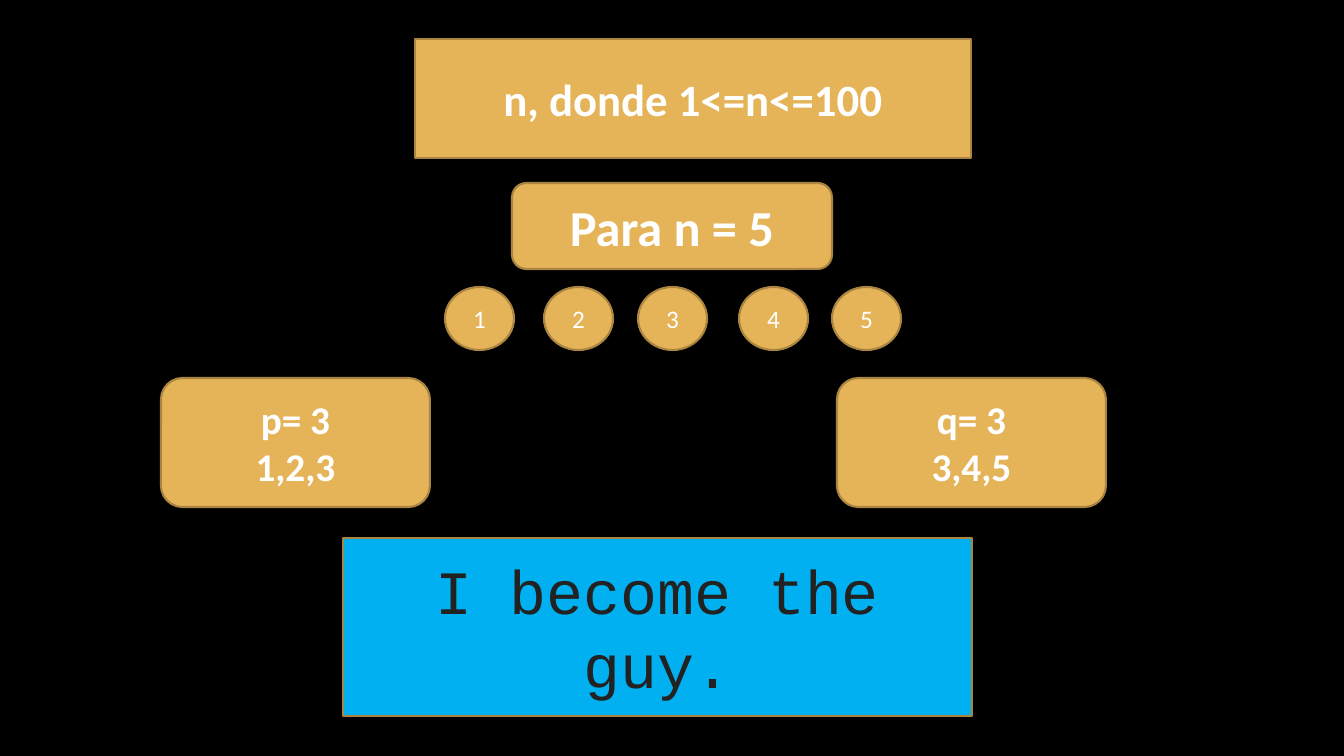
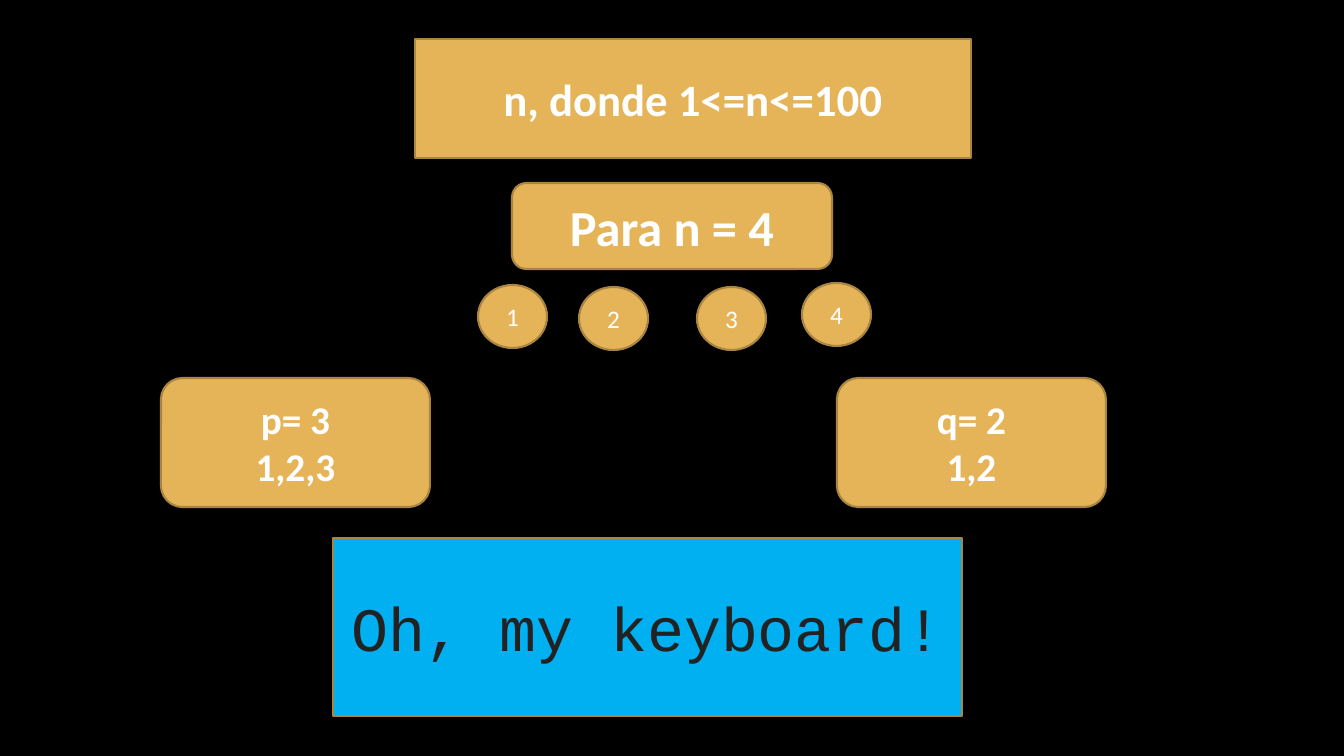
from lxml.etree import SubElement
from pptx import Presentation
from pptx.dml.color import RGBColor
from pptx.enum.shapes import MSO_SHAPE
from pptx.enum.text import MSO_ANCHOR, MSO_AUTO_SIZE, PP_ALIGN
from pptx.oxml.ns import qn
from pptx.util import Pt

BLACK = RGBColor(0x00, 0x00, 0x00)
GOLD = RGBColor(0xE5, 0xB4, 0x58)
BRONZE = RGBColor(0xA9, 0x85, 0x41)
SKY = RGBColor(0x00, 0xB0, 0xF0)
WHITE = RGBColor(0xFF, 0xFF, 0xFF)
INK = RGBColor(0x22, 0x22, 0x22)

TITLE = "n, donde 1<=n<=100"
# levels: (left, top) of each numbered circle
CASES = [
    {
        "n": 5,
        "levels": [(445, 287), (544, 287), (638, 287), (739, 287), (832, 287)],
        "players": [("p= 3", "1,2,3"), ("q= 3", "3,4,5")],
        "verdict": "I become the guy.",
        "verdict_left": 343,
    },
    {
        "n": 4,
        "levels": [(478, 285), (579, 287), (697, 287), (802, 283)],
        "players": [("p= 3", "1,2,3"), ("q= 2", "1,2")],
        "verdict": "Oh, my keyboard!",
        "verdict_left": 333,
    },
]

SLIDE_W, SLIDE_H = 1344, 756
TITLE_BOX = (415, 39, 556, 119)
CASE_BOX = (512, 183, 320, 86)
LEVEL_SIZE = (69, 63)
PLAYER_LEFTS = (161, 837)
PLAYER_TOP, PLAYER_SIZE = 378, (269, 129)
VERDICT_TOP, VERDICT_SIZE = 538, (629, 178)


def px(n):
    return round(n * 914400 / 100.8)


def paint(sp, fill):
    sp.fill.solid()
    sp.fill.fore_color.rgb = fill
    sp.line.color.rgb = BRONZE
    sp.line.width = Pt(1.5)


def write(sp, *lines, size, bold=False, font="Calibri", color=WHITE):
    tf = sp.text_frame
    tf.word_wrap = True
    tf.auto_size = MSO_AUTO_SIZE.NONE
    tf.vertical_anchor = MSO_ANCHOR.MIDDLE
    for i, line in enumerate(lines):
        p = tf.add_paragraph() if i else tf.paragraphs[0]
        p.alignment = PP_ALIGN.CENTER
        r = p.add_run()
        r.text = line
        r.font.size, r.font.bold, r.font.name = Pt(size), bold, font
        r.font.color.rgb = color


def add_box(s, kind, box, *lines, fill=GOLD, **text_format):
    sp = s.shapes.add_shape(kind, *map(px, box))
    sp.shadow.inherit = False
    paint(sp, fill)
    write(sp, *lines, **text_format)


def set_title(s):
    """Turn the title placeholder into a box with one rounded corner."""
    sp = s.shapes.title
    sp.left, sp.top, sp.width, sp.height = map(px, TITLE_BOX)
    geom = SubElement(sp.element.spPr, qn("a:prstGeom"), prst="round1Rect")
    SubElement(geom, qn("a:avLst"))
    paint(sp, GOLD)
    write(sp, TITLE, size=32, bold=True)


def add_case(prs, case):
    s = prs.slides.add_slide(prs.slide_layouts[5])
    set_title(s)
    add_box(s, MSO_SHAPE.ROUNDED_RECTANGLE, CASE_BOX,
            f"Para n = {case['n']}", size=36, bold=True)
    for number, corner in enumerate(case["levels"], 1):
        add_box(s, MSO_SHAPE.OVAL, corner + LEVEL_SIZE, str(number), size=18)
    for left, lines in zip(PLAYER_LEFTS, case["players"]):
        add_box(s, MSO_SHAPE.ROUNDED_RECTANGLE,
                (left, PLAYER_TOP) + PLAYER_SIZE, *lines, size=28, bold=True)
    add_box(s, MSO_SHAPE.RECTANGLE,
            (case["verdict_left"], VERDICT_TOP) + VERDICT_SIZE,
            case["verdict"], fill=SKY, size=44, font="Courier New", color=INK)


def main():
    prs = Presentation()
    prs.slide_width, prs.slide_height = px(SLIDE_W), px(SLIDE_H)
    background = prs.slide_master.background.fill
    background.solid()
    background.fore_color.rgb = BLACK
    for case in CASES:
        add_case(prs, case)
    prs.save("out.pptx")


if __name__ == "__main__":
    main()
